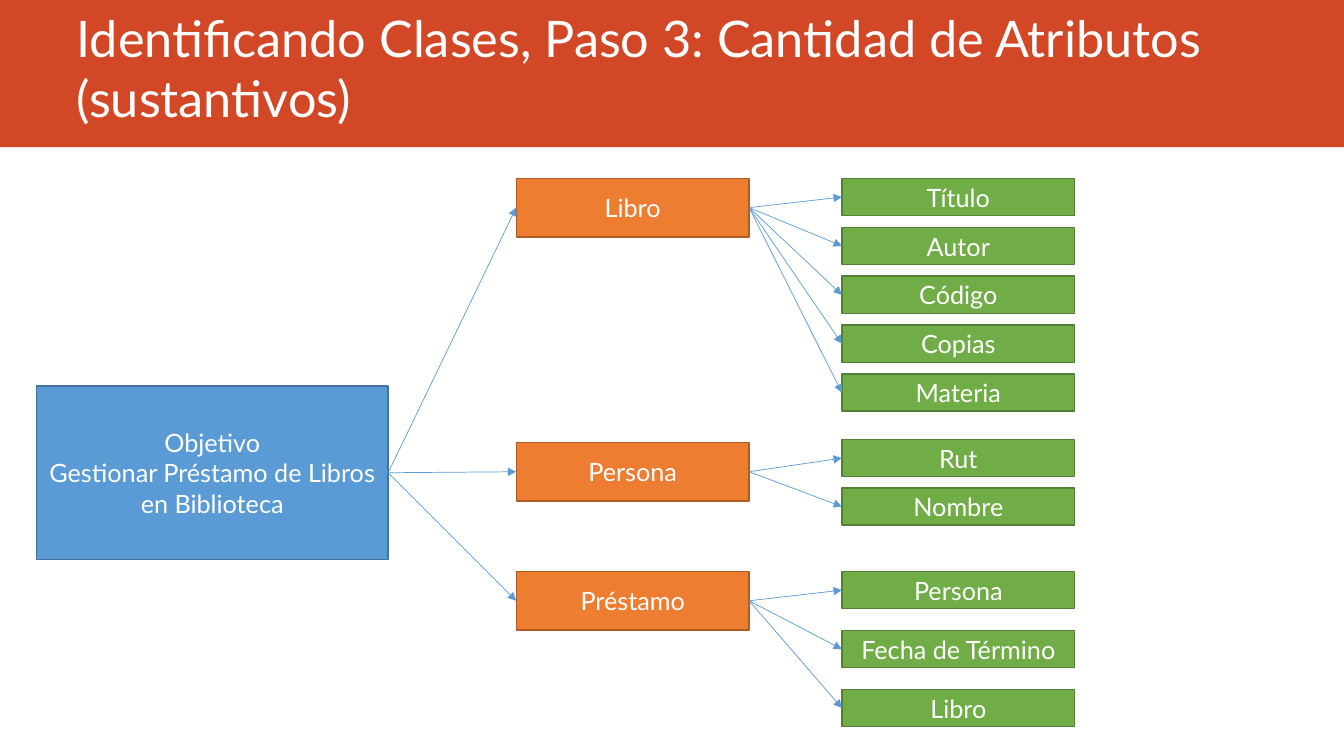
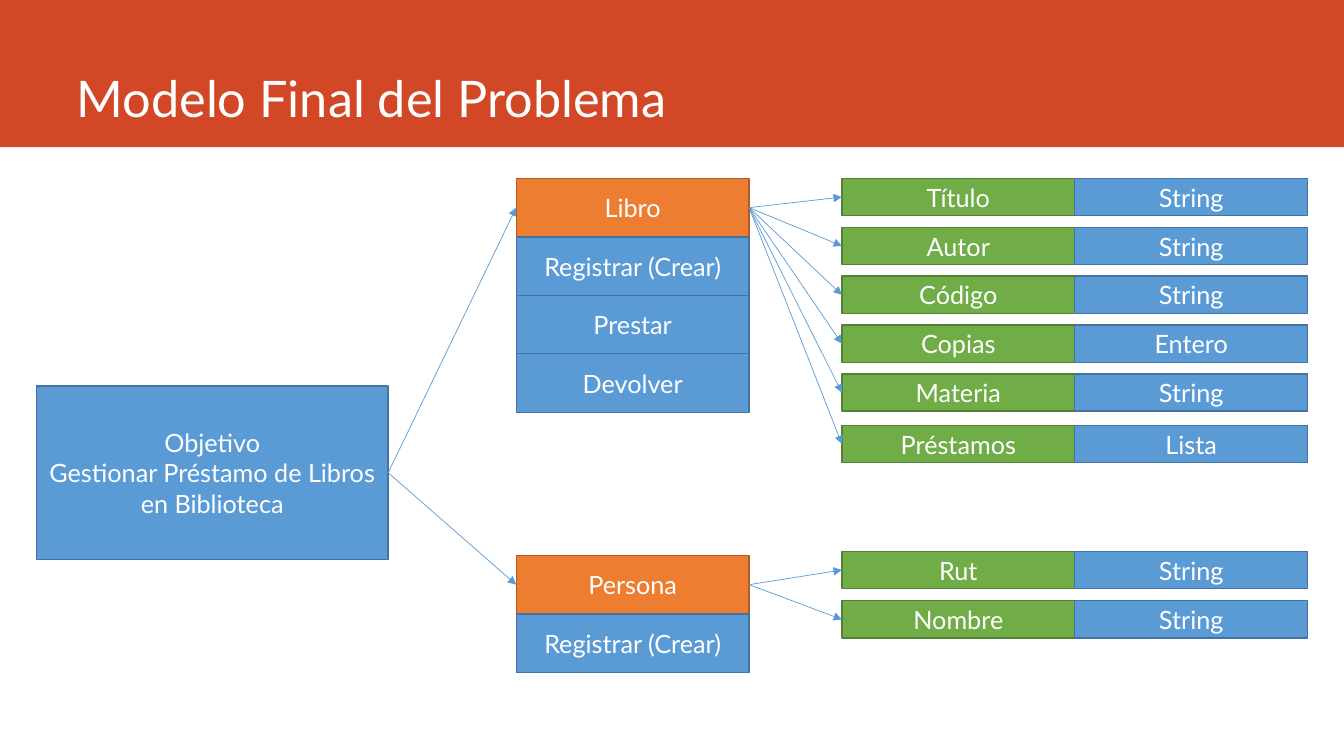
from dataclasses import dataclass

from lxml.etree import SubElement
from pptx import Presentation
from pptx.dml.color import RGBColor
from pptx.enum.shapes import MSO_CONNECTOR, MSO_SHAPE
from pptx.enum.text import MSO_ANCHOR, MSO_AUTO_SIZE, PP_ALIGN
from pptx.oxml.ns import qn
from pptx.util import Inches, Pt

FONT = "Lato"
WHITE = RGBColor(0xFF, 0xFF, 0xFF)
RED = RGBColor(0xD2, 0x47, 0x26)
BLUE = RGBColor(0x5B, 0x9B, 0xD5)
DARK_BLUE = RGBColor(0x43, 0x73, 0x9E)
ORANGE = RGBColor(0xED, 0x7D, 0x31)
DARK_ORANGE = RGBColor(0xAF, 0x5C, 0x24)
GREEN = RGBColor(0x70, 0xAD, 0x47)
DARK_GREEN = RGBColor(0x53, 0x80, 0x35)

BLUE_BOX = (BLUE, DARK_BLUE)
CLASS_BOX = (ORANGE, DARK_ORANGE)
ATTRIBUTE_BOX = (GREEN, DARK_GREEN)

SLIDE_WIDTH, SLIDE_HEIGHT = 13.33, 7.5
BAND_HEIGHT = 1.46
TITLE_AREA = (0.66, 0, 11.76, 1.32)
OBJECTIVE_AREA = (0.36, 3.83, 3.49, 1.72)
OBJECTIVE_TEXT = "Objetivo\nGestionar Préstamo de Libros en Biblioteca"
CLASS_LEFT, ATTRIBUTE_LEFT = 5.12, 8.35
COLUMN_WIDTH = 2.31
TYPE_LEFT = ATTRIBUTE_LEFT + COLUMN_WIDTH
CLASS_HEIGHT, ATTRIBUTE_HEIGHT = 0.58, 0.37
LEFT_SITE, RIGHT_SITE = 1, 3


@dataclass
class AttributeGroup:
    first_top: float
    last_top: float
    names: list
    types: tuple = ()

    def tops(self):
        step = (self.last_top - self.first_top) / max(len(self.names) - 1, 1)
        return [self.first_top + step * row for row in range(len(self.names))]


@dataclass
class ClassNode:
    name: str
    top: float
    groups: list
    methods: tuple = ()


BOOK_ATTRIBUTES = ["Título", "Autor", "Código", "Copias", "Materia"]
PERSON_ATTRIBUTES = ["Rut", "Nombre"]

ATTRIBUTE_MODEL = [
    ClassNode("Libro", 1.77, [AttributeGroup(1.77, 3.71, BOOK_ATTRIBUTES)]),
    ClassNode("Persona", 4.39, [AttributeGroup(4.36, 4.84, PERSON_ATTRIBUTES)]),
    ClassNode("Préstamo", 5.67, [
        AttributeGroup(5.67, 6.84, ["Persona", "Fecha de Término", "Libro"]),
    ]),
]

FINAL_MODEL = [
    ClassNode("Libro", 1.77, [
        AttributeGroup(1.77, 3.71, BOOK_ATTRIBUTES,
                       ("String", "String", "String", "Entero", "String")),
        AttributeGroup(4.22, 4.22, ["Préstamos"], ("Lista",)),
    ], ("Registrar (Crear)", "Prestar", "Devolver")),
    ClassNode("Persona", 5.51, [
        AttributeGroup(5.47, 5.96, PERSON_ATTRIBUTES, ("String", "String")),
    ], ("Registrar (Crear)",)),
]


def apply_format(target, values):
    for attribute, value in values.items():
        setattr(target, attribute, value)


def format_text(frame, size, alignment, anchor):
    apply_format(frame, {"word_wrap": True, "auto_size": MSO_AUTO_SIZE.NONE,
                         "vertical_anchor": anchor})
    for paragraph in frame.paragraphs:
        paragraph.alignment = alignment
        apply_format(paragraph.font, {"name": FONT, "size": Pt(size), "bold": False})
        paragraph.font.color.rgb = WHITE


def add_rectangle(slide, area, fill):
    rectangle = slide.shapes.add_shape(MSO_SHAPE.RECTANGLE, *map(Inches, area))
    rectangle.shadow.inherit = False
    rectangle.fill.solid()
    rectangle.fill.fore_color.rgb = fill
    return rectangle


def add_box(slide, area, text, colours):
    fill, outline = colours
    box = add_rectangle(slide, area, fill)
    box.line.color.rgb = outline
    box.line.width = Pt(1)
    box.text_frame.text = text
    format_text(box.text_frame, 18, PP_ALIGN.CENTER, MSO_ANCHOR.MIDDLE)
    return box


def add_arrow(slide, source, target):
    arrow = slide.shapes.add_connector(MSO_CONNECTOR.STRAIGHT, 0, 0, 0, 0)
    arrow.begin_connect(source, RIGHT_SITE)
    arrow.end_connect(target, LEFT_SITE)
    arrow.line.color.rgb = BLUE
    arrow.line.width = Pt(0.5)
    properties = arrow._element.spPr
    SubElement(properties.find(qn("a:ln")), qn("a:tailEnd"), type="triangle")
    SubElement(properties, qn("a:effectLst"))


def add_title(slide, text):
    title = slide.shapes.title
    title.text_frame.text = text
    format_text(title.text_frame, 36, PP_ALIGN.LEFT, MSO_ANCHOR.BOTTOM)


def prepare_layout(layout, slide):
    band = add_rectangle(slide, (0, 0, SLIDE_WIDTH, BAND_HEIGHT), RED)
    band.line.fill.background()
    layout.shapes._spTree.insert(2, band._element)
    title = next(item for item in layout.placeholders
                 if item.placeholder_format.idx == 0)
    sides = ("left", "top", "width", "height")
    apply_format(title, dict(zip(sides, map(Inches, TITLE_AREA))))


def add_attributes(slide, class_box, group):
    for row, (name, top) in enumerate(zip(group.names, group.tops())):
        area = (ATTRIBUTE_LEFT, top, COLUMN_WIDTH, ATTRIBUTE_HEIGHT)
        attribute = add_box(slide, area, name, ATTRIBUTE_BOX)
        add_arrow(slide, class_box, attribute)
        if group.types:
            add_box(slide, (TYPE_LEFT, *area[1:]), group.types[row], BLUE_BOX)


def add_class(slide, objective, node):
    area = (CLASS_LEFT, node.top, COLUMN_WIDTH, CLASS_HEIGHT)
    class_box = add_box(slide, area, node.name, CLASS_BOX)
    add_arrow(slide, objective, class_box)
    for row, method in enumerate(node.methods, start=1):
        top = node.top + row * CLASS_HEIGHT
        add_box(slide, (CLASS_LEFT, top, COLUMN_WIDTH, CLASS_HEIGHT), method, BLUE_BOX)
    for group in node.groups:
        add_attributes(slide, class_box, group)


def add_model(slide, title, nodes):
    add_title(slide, title)
    objective = add_box(slide, OBJECTIVE_AREA, OBJECTIVE_TEXT, BLUE_BOX)
    for node in nodes:
        add_class(slide, objective, node)


def main():
    deck = Presentation()
    deck.slide_width = Inches(SLIDE_WIDTH)
    deck.slide_height = Inches(SLIDE_HEIGHT)
    layout = deck.slide_layouts.get_by_name("Title Only")
    attribute_slide = deck.slides.add_slide(layout)
    prepare_layout(layout, attribute_slide)
    add_model(attribute_slide,
              "Identificando Clases, Paso 3: Cantidad de Atributos (sustantivos)",
              ATTRIBUTE_MODEL)
    add_model(deck.slides.add_slide(layout), "Modelo Final del Problema", FINAL_MODEL)
    deck.save("out.pptx")


if __name__ == "__main__":
    main()
